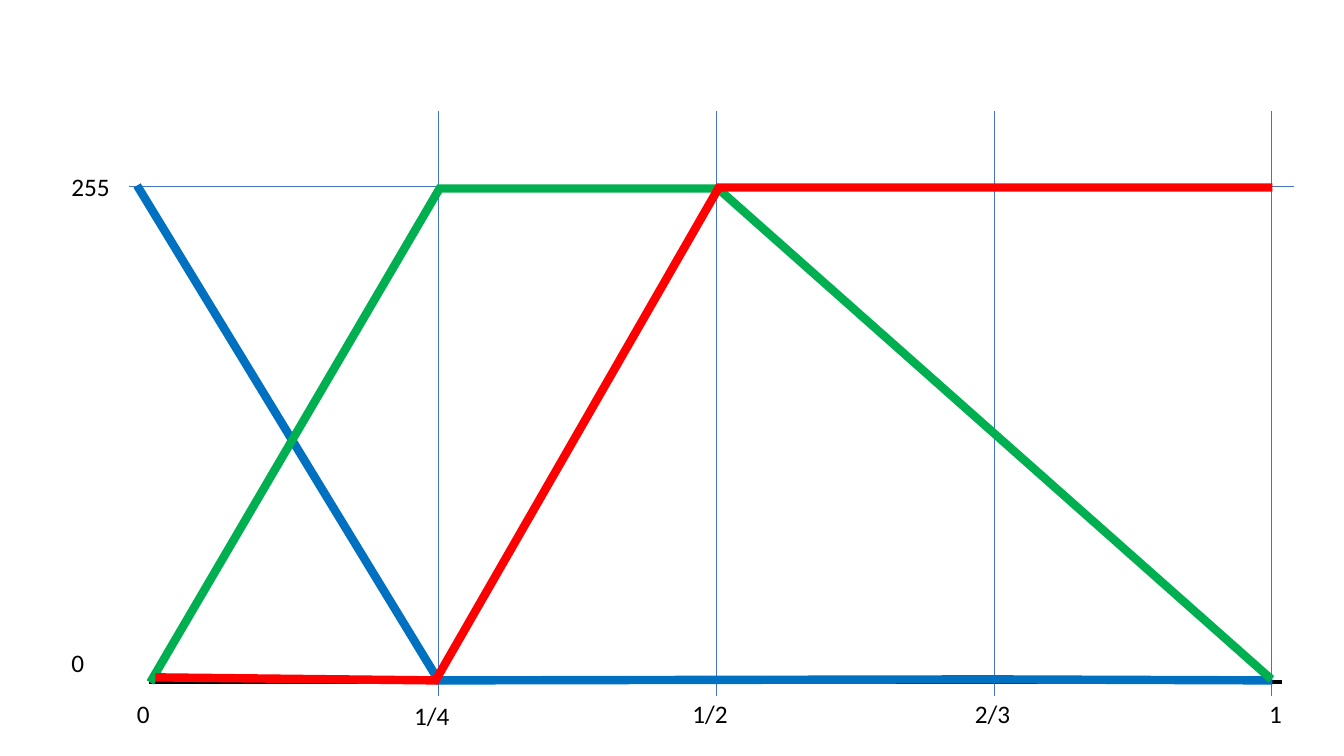
from dataclasses import dataclass

from lxml import etree
from pptx import Presentation
from pptx.dml.color import RGBColor
from pptx.enum import shapes, text
from pptx.oxml import ns
from pptx.util import Emu, Pt

EMU_PER_PX = 9144
BLACK = RGBColor(0x00, 0x00, 0x00)
GRID_BLUE = RGBColor(0x44, 0x72, 0xC4)
BLUE = RGBColor(0x00, 0x70, 0xC0)
GREEN = RGBColor(0x00, 0xB0, 0x50)
RED = RGBColor(0xFF, 0x00, 0x00)

Point = tuple[int, int]


@dataclass(frozen=True)
class AxisLabel:
    wording: str
    left: int
    top: int


@dataclass(frozen=True)
class Rule:
    start: Point
    end: Point
    color: RGBColor = GRID_BLUE
    weight: float = 0.5


@dataclass(frozen=True)
class ChannelCurve:
    points: tuple[Point, ...]
    color: RGBColor


LABEL_TOP = 688
AXIS_LABELS = (
    AxisLabel("255", 61, 165),
    AxisLabel("0", 61, 637),
    AxisLabel("0", 126, LABEL_TOP),
    AxisLabel("1", 1249, LABEL_TOP),
    AxisLabel("1/2", 677, LABEL_TOP),
    AxisLabel("1/4", 401, LABEL_TOP + 2),
    AxisLabel("2/3", 957, LABEL_TOP),
)

GRID_LEFT, GRID_RIGHT, GRID_COUNT = 435, 1261, 4
GRID_XS = [
    round(GRID_LEFT + i * (GRID_RIGHT - GRID_LEFT) / (GRID_COUNT - 1))
    for i in range(GRID_COUNT)
]
BASELINE = Rule((148, 677), (1272, 677), BLACK, 3)
GRID_RULES = [Rule((x, 690), (x, 110)) for x in GRID_XS]
MAXIMUM_RULE = Rule((128, 185), (1283, 185))

CHANNEL_CURVES = (
    ChannelCurve(((136, 184), (435, 675), (981, 674), (1262, 675)), BLUE),
    ChannelCurve(((149, 677), (436, 187), (712, 187), (1261, 674)), GREEN),
    ChannelCurve(((154, 672), (432, 675), (713, 186), (1262, 186)), RED),
)


def px(length: int) -> Emu:
    return Emu(length * EMU_PER_PX)


def draw_rule(slide, rule: Rule) -> None:
    stroke = slide.shapes.add_connector(
        shapes.MSO_CONNECTOR.STRAIGHT,
        *map(px, rule.start + rule.end),
    )
    stroke.line.color.rgb = rule.color
    stroke.line.width = Pt(rule.weight)
    etree.SubElement(stroke._element.spPr, ns.qn("a:effectLst"))


def draw_label(slide, label: AxisLabel) -> None:
    box = slide.shapes.add_textbox(px(label.left), px(label.top), px(67), px(40))
    frame = box.text_frame
    frame.word_wrap = True
    frame.auto_size = text.MSO_AUTO_SIZE.SHAPE_TO_FIT_TEXT
    frame.text = label.wording
    font = frame.paragraphs[0].runs[0].font
    font.name = "Calibri"
    font.size = Pt(18)
    font.color.rgb = BLACK


def draw_curve(slide, curve: ChannelCurve) -> None:
    outline = slide.shapes.build_freeform(*curve.points[0], scale=EMU_PER_PX)
    outline.add_line_segments(curve.points[1:], close=False)
    channel = outline.convert_to_shape()
    channel.shadow.inherit = False
    channel.fill.background()
    channel.line.color.rgb = curve.color
    channel.line.width = Pt(6)
    stroke = channel._element.spPr.find(ns.qn("a:ln"))
    etree.SubElement(stroke, ns.qn("a:miter"), lim="800000")


def main() -> None:
    deck = Presentation()
    deck.slide_width, deck.slide_height = px(1333), px(750)
    slide = deck.slides.add_slide(deck.slide_layouts[6])
    draw_rule(slide, BASELINE)
    for label in AXIS_LABELS:
        draw_label(slide, label)
    for rule in (*GRID_RULES, MAXIMUM_RULE):
        draw_rule(slide, rule)
    for curve in CHANNEL_CURVES:
        draw_curve(slide, curve)
    deck.save("out.pptx")


if __name__ == "__main__":
    main()
